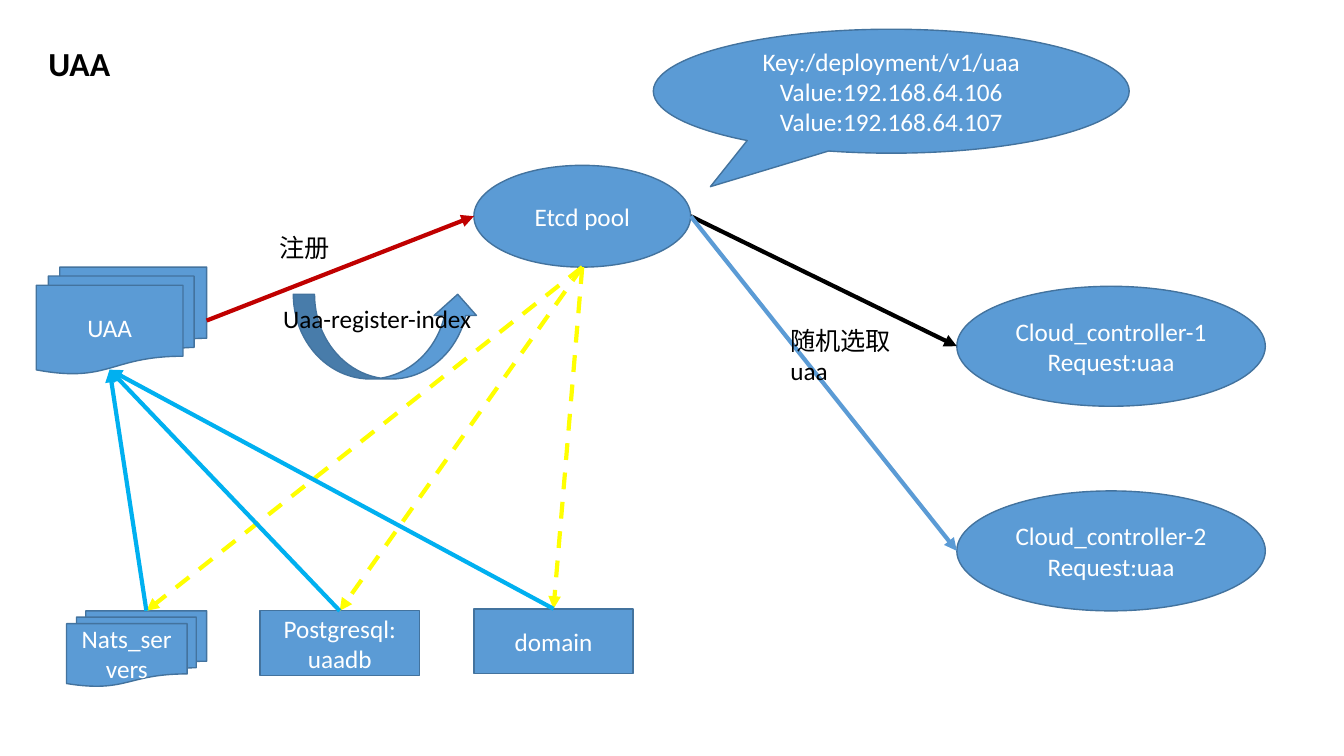
from pptx import Presentation
from pptx.dml.color import RGBColor
from pptx.enum.dml import MSO_LINE
from pptx.enum.shapes import MSO_CONNECTOR, MSO_SHAPE
from pptx.enum.text import MSO_ANCHOR, MSO_AUTO_SIZE, PP_ALIGN
from pptx.oxml.ns import qn
from pptx.util import Inches, Pt
from lxml.etree import SubElement

FONT = "Calibri"
COLORS = {
    "fill": "5B9BD5", "outline": "43739E", "white": "FFFFFF", "black": "000000",
    "red": "C00000", "yellow": "FFFF00", "cyan": "00B0F0",
}
TITLE = ("UAA", (0.38, 0.38, 0.82, 0.5))
NODES = {
    "uaa": (MSO_SHAPE.FLOWCHART_MULTIDOCUMENT, (0.36, 2.65, 1.69, 1.06), "UAA"),
    "etcd": (MSO_SHAPE.OVAL, (4.7, 1.64, 2.15, 1.01), "Etcd pool"),
    "record": (MSO_SHAPE.OVAL_CALLOUT, (6.48, 0.29, 4.72, 1.23),
               "Key:/deployment/v1/uaa\nValue:192.168.64.106\nValue:192.168.64.107"),
    "controller 1": (MSO_SHAPE.OVAL, (9.49, 2.84, 3.06, 1.19), "Cloud_controller-1\nRequest:uaa"),
    "controller 2": (MSO_SHAPE.OVAL, (9.49, 4.87, 3.06, 1.19), "Cloud_controller-2\nRequest:uaa"),
    "register loop": (MSO_SHAPE.CURVED_UP_ARROW, (2.91, 2.92, 1.84, 0.84), ""),
    "nats": (MSO_SHAPE.FLOWCHART_MULTIDOCUMENT, (0.66, 6.06, 1.39, 0.75), "Nats_servers"),
    "postgresql": (MSO_SHAPE.RECTANGLE, (2.58, 6.06, 1.58, 0.64), "Postgresql:\nuaadb"),
    "domain": (MSO_SHAPE.RECTANGLE, (4.7, 6.04, 1.58, 0.64), "domain"),
}
CALLOUT_TIP = (-0.38, 0.77)
LINKS = [
    ("uaa", "right", "etcd", "left", "red", False),
    ("etcd", "right", "controller 1", "left", "black", False),
    ("etcd", "right", "controller 2", "left", "fill", False),
    ("etcd", "bottom", "nats", "top", "yellow", True),
    ("etcd", "bottom", "postgresql", "top", "yellow", True),
    ("nats", "top", "uaa", "bottom", "cyan", False),
    ("postgresql", "top", "uaa", "bottom", "cyan", False),
    ("etcd", "bottom", "domain", "top", "yellow", True),
    ("domain", "top", "uaa", "bottom", "cyan", False),
]
LABELS = [
    ("随机选取uaa", (7.74, 3.18, 1.4, 0.68), True),
    ("注册", (2.67, 2.26, 0.71, 0.4), False),
    ("Uaa-register-index", (2.71, 2.96, 2.09, 0.4), False),
]
SIDES = {"top": (0.5, 0), "left": (0, 0.5), "bottom": (0.5, 1), "right": (1, 0.5)}
STACK_SIDES = {**SIDES, "top": (0.57, 0), "bottom": (0.43, 0.96)}
SITES = list(SIDES)


def color(name):
    return RGBColor.from_string(COLORS[name])


def write(frame, text, size, ink, align, bold=False):
    frame.text = text
    for para in frame.paragraphs:
        para.alignment = align
        for span in para.runs:
            span.font.name = FONT
            span.font.size = Pt(size)
            span.font.bold = bold
            span.font.color.rgb = color(ink)


def add_node(page, kind, area, text):
    node = page.shapes.add_shape(kind, *map(Inches, area))
    node.shadow.inherit = False
    node.fill.solid()
    node.fill.fore_color.rgb = color("fill")
    node.line.color.rgb = color("outline")
    node.line.width = Pt(1)
    if kind == MSO_SHAPE.OVAL_CALLOUT:
        node.adjustments[0], node.adjustments[1] = CALLOUT_TIP
    if text:
        node.text_frame.vertical_anchor = MSO_ANCHOR.MIDDLE
        write(node.text_frame, text, 18, "white", PP_ALIGN.CENTER)
    return node


def anchor(name, side):
    kind, (left, top, width, height), _ = NODES[name]
    sides = STACK_SIDES if kind == MSO_SHAPE.FLOWCHART_MULTIDOCUMENT else SIDES
    across, down = sides[side]
    return Inches(left + across * width), Inches(top + down * height)


def add_link(page, shapes, start, start_side, end, end_side, ink, dashed):
    link = page.shapes.add_connector(
        MSO_CONNECTOR.STRAIGHT, *anchor(start, start_side), *anchor(end, end_side))
    if NODES[start][0] == MSO_SHAPE.RECTANGLE:
        link.begin_connect(shapes[start], SITES.index(start_side))
    if NODES[end][0] == MSO_SHAPE.RECTANGLE:
        link.end_connect(shapes[end], SITES.index(end_side))
    link.line.color.rgb = color(ink)
    link.line.width = Pt(3)
    if dashed:
        link.line.dash_style = MSO_LINE.DASH
    SubElement(link.line._get_or_add_ln(), qn("a:tailEnd"), type="triangle")
    SubElement(link._element.spPr, qn("a:effectLst"))


def add_label(page, text, area, wraps):
    frame = page.shapes.add_textbox(*map(Inches, area)).text_frame
    frame.word_wrap = wraps
    frame.auto_size = MSO_AUTO_SIZE.SHAPE_TO_FIT_TEXT
    write(frame, text, 18, "black", PP_ALIGN.LEFT)


def set_title(page, text, area):
    title = page.shapes.title
    title.left, title.top, title.width, title.height = map(Inches, area)
    frame = title.text_frame
    frame.word_wrap = False
    frame.auto_size = MSO_AUTO_SIZE.NONE
    frame.vertical_anchor = MSO_ANCHOR.TOP
    write(frame, text, 24, "black", PP_ALIGN.LEFT, bold=True)


def main():
    deck = Presentation()
    deck.slide_width, deck.slide_height = Inches(13.33), Inches(7.5)
    page = deck.slides.add_slide(deck.slide_layouts[5])
    set_title(page, *TITLE)
    shapes = {name: add_node(page, *node) for name, node in NODES.items()}
    for link in LINKS:
        add_link(page, shapes, *link)
    for label in LABELS:
        add_label(page, *label)
    deck.save("out.pptx")


if __name__ == "__main__":
    main()
